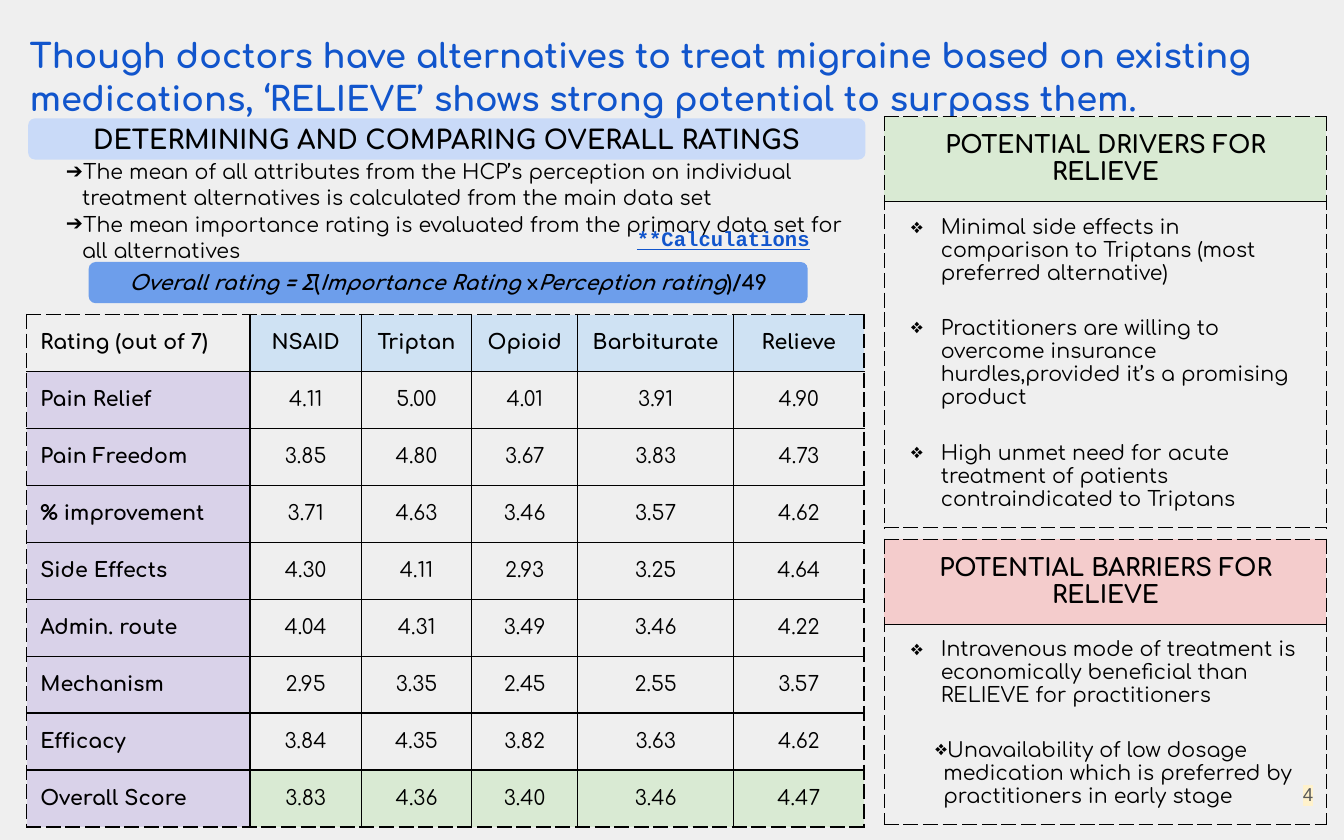
from lxml import etree
from pptx import Presentation
from pptx.dml.color import RGBColor
from pptx.enum.shapes import MSO_SHAPE
from pptx.enum.text import MSO_ANCHOR, MSO_AUTO_SIZE, PP_ALIGN
from pptx.oxml.ns import qn
from pptx.util import Inches, Pt

LEFT, CENTER, RIGHT = PP_ALIGN.LEFT, PP_ALIGN.CENTER, PP_ALIGN.RIGHT
TOP, MIDDLE, BOTTOM = MSO_ANCHOR.TOP, MSO_ANCHOR.MIDDLE, MSO_ANCHOR.BOTTOM
ROUNDED = MSO_SHAPE.ROUNDED_RECTANGLE

THEME = {
    "font": "Comfortaa", "number font": "Arial", "link font": "Courier New",
    "title size": 18, "banner size": 14, "heading size": 13, "text size": 11, "page size": 10,
    "background": "EFEFEF", "text": "000000", "accent": "1155CC", "page": "595959",
    "highlight": "FFF2CC", "banner": "C9DAF8", "formula": "6D9EEB", "column header": "CFE2F3",
    "row header": "D9D2E9", "positive": "D9EAD3", "negative": "F4CCCC",
}

presentation = Presentation()
presentation.slide_width, presentation.slide_height = Inches(10), Inches(6.25)
COLUMN = presentation.slide_width / 100
ROW = presentation.slide_height / 100

AREAS = {
    "title": (1.2, 2.24, 94.5, 13),
    "method": (3, 17.1, 61.3, 15),
    "banner": (2.1, 14.1, 62.3, 4.9),
    "formula": (6.6, 31.2, 53.5, 4.9),
    "link": (46.4, 25.1, 17.3, 6.2),
    "ratings": (2, 37.44, 62.3, 61),
    "drivers": (65.8, 13.9, 32.9, 48.9),
    "barriers": (65.8, 64.2, 32.9, 34),
    "page": (92.7, 90.7, 6, 7.7),
}
AREAS = {name: (round(left * COLUMN), round(top * ROW), round(width * COLUMN), round(height * ROW))
         for name, (left, top, width, height) in AREAS.items()}


def format_text(frame, size, bold=False, color="text", font="font", alignment=LEFT,
                anchor=MIDDLE, inset=0.1, bullet=None, margin=0.0, indent=0.0, spacing=1.0):
    frame.word_wrap = True
    frame.vertical_anchor = anchor
    frame.margin_left = Inches(inset)
    frame.margin_top = frame.margin_right = frame.margin_bottom = Inches(0.1)
    for paragraph in frame.paragraphs:
        paragraph.alignment = alignment
        paragraph.line_spacing = spacing
        paragraph.space_before = Pt(0)
        if bullet:
            properties = paragraph._p.get_or_add_pPr()
            properties.set("marL", str(Inches(margin)))
            properties.set("indent", str(Inches(indent)))
            bullet_color = etree.SubElement(properties, qn("a:buClr"))
            etree.SubElement(bullet_color, qn("a:srgbClr"), val=THEME["text"])
            etree.SubElement(properties, qn("a:buChar"), char=bullet)
        paragraph.font.name = THEME[font]
        paragraph.font.size = Pt(THEME[size])
        paragraph.font.bold = bold
        paragraph.font.color.rgb = RGBColor.from_string(THEME[color])


def style_cell(cell, borders, fill=None):
    properties = cell._tc.get_or_add_tcPr()
    for side, dash in zip("LRTB", borders):
        line = etree.SubElement(properties, qn(f"a:ln{side}"), w=str(Pt(0.75)))
        if dash:
            solid = etree.SubElement(line, qn("a:solidFill"))
            etree.SubElement(solid, qn("a:srgbClr"), val=THEME["text"])
            etree.SubElement(line, qn("a:prstDash"), val=dash)
        else:
            etree.SubElement(line, qn("a:noFill"))
    if fill:
        cell.fill.solid()
        cell.fill.fore_color.rgb = RGBColor.from_string(THEME[fill])
    else:
        cell.fill.background()


slide = presentation.slides.add_slide(presentation.slide_layouts[1])
slide.background.fill.solid()
slide.background.fill.fore_color.rgb = RGBColor.from_string(THEME["background"])

title, method = slide.shapes.title, slide.placeholders[1]
for shape, name in ((title, "title"), (method, "method")):
    shape.left, shape.top, shape.width, shape.height = AREAS[name]
    shape.text_frame.auto_size = MSO_AUTO_SIZE.NONE

title.text_frame.text = ("Though doctors have alternatives to treat migraine based on existing "
                         "medications, ‘RELIEVE’ shows strong potential to surpass them.")
format_text(title.text_frame, "title size", True, "accent", anchor=TOP, spacing=1.07)

banner, formula = [slide.shapes.add_shape(ROUNDED, *AREAS[name]) for name in ("banner", "formula")]
for shape, name in ((banner, "banner"), (formula, "formula")):
    shape.shadow.inherit = False
    shape.fill.solid()
    shape.fill.fore_color.rgb = RGBColor.from_string(THEME[name])
    shape.line.fill.background()
banner.text_frame.text = "DETERMINING AND COMPARING OVERALL RATINGS"
format_text(banner.text_frame, "banner size", True, alignment=CENTER)

method.text_frame.text = (
    "The mean of all attributes from the HCP’s perception on individual treatment alternatives "
    "is calculated from the main data set\n"
    "The mean importance rating is evaluated from the primary data set for all alternatives")
format_text(method.text_frame, "text size", anchor=TOP, inset=0.19, bullet="➔",
            margin=0.12, indent=-0.2, spacing=1.07)

for text, italic in (("Overall rating = Σ", True), ("(", False), ("Importance Rating ", True),
                     ("x", False), ("Perception rating", True), (")/49", False)):
    run = formula.text_frame.paragraphs[0].add_run()
    run.text = text
    run.font.italic = italic
format_text(formula.text_frame, "text size", True, alignment=CENTER)

link = slide.shapes.add_textbox(*AREAS["link"])
link.text_frame.text = "**Calculations"
format_text(link.text_frame, "text size", True, "accent", "link font", anchor=BOTTOM)
link.text_frame.paragraphs[0].font.underline = True

RATINGS = (
    ("Rating (out of 7)", "NSAID", "Triptan", "Opioid", "Barbiturate", "Relieve"),
    ("Pain Relief", "4.11", "5.00", "4.01", "3.91", "4.90"),
    ("Pain Freedom", "3.85", "4.80", "3.67", "3.83", "4.73"),
    ("% improvement", "3.71", "4.63", "3.46", "3.57", "4.62"),
    ("Side Effects", "4.30", "4.11", "2.93", "3.25", "4.64"),
    ("Admin. route", "4.04", "4.31", "3.49", "3.46", "4.22"),
    ("Mechanism", "2.95", "3.35", "2.45", "2.55", "3.57"),
    ("Efficacy", "3.84", "4.35", "3.82", "3.63", "4.62"),
    ("Overall Score", "3.83", "4.36", "3.40", "3.46", "4.47"),
)
last_row, last_column = len(RATINGS) - 1, len(RATINGS[0]) - 1
ratings = slide.shapes.add_table(len(RATINGS), len(RATINGS[0]), *AREAS["ratings"]).table
for column, share in zip(ratings.columns, (16.6, 8.3, 8.2, 7.9, 11.6, 9.7)):
    column.width = round(share * COLUMN)
for row_index, values in enumerate(RATINGS):
    ratings.rows[row_index].height = round(6.78 * ROW)
    for column_index, value in enumerate(values):
        cell = ratings.cell(row_index, column_index)
        edges = (column_index == 0, column_index == last_column, row_index == 0, row_index == last_row)
        if column_index == 0:
            fill = "row header" if row_index else None
        else:
            fill = {0: "column header", last_row: "positive"}.get(row_index)
        style_cell(cell, ["dash" if edge else "solid" for edge in edges], fill)
        cell.text_frame.text = value
        format_text(cell.text_frame, "text size", row_index == 0 or column_index == 0,
                    alignment=CENTER if column_index else LEFT)
        cell.vertical_anchor = MIDDLE

REGULAR = {"inset": 0.1, "margin": 0.32, "indent": -0.22}
SHIFTED = {"inset": 0.38, "margin": 0.06, "indent": -0.19}
PANELS = (
    ("drivers", "positive", "POTENTIAL DRIVERS FOR RELIEVE", (
        ("Minimal side effects in comparison to Triptans (most preferred alternative)", 11.8, REGULAR),
        ("Practitioners are willing to overcome insurance hurdles,provided it’s a promising product",
         14.9, REGULAR),
        ("High unmet need for acute treatment of patients contraindicated to Triptans", 12.1, REGULAR))),
    ("barriers", "negative", "POTENTIAL BARRIERS FOR RELIEVE", (
        ("Intravenous mode of treatment is economically beneficial than RELIEVE for practitioners",
         11.7, REGULAR),
        ("Unavailability of low dosage medication which is preferred by practitioners in early stage",
         12.2, SHIFTED))),
)
for name, fill, heading, points in PANELS:
    panel = slide.shapes.add_table(len(points) + 1, 1, *AREAS[name]).table
    panel.rows[0].height = round(10.1 * ROW)
    cell = panel.cell(0, 0)
    style_cell(cell, ("dash", "dash", "dash", "solid"), fill)
    cell.text_frame.text = heading
    format_text(cell.text_frame, "heading size", True, alignment=CENTER)
    cell.vertical_anchor = MIDDLE
    for index, (text, height, layout) in enumerate(points, 1):
        panel.rows[index].height = round(height * ROW)
        cell = panel.cell(index, 0)
        style_cell(cell, ("dash", "dash", "solid" if index == 1 else None,
                          "dash" if index == len(points) else None))
        cell.text_frame.text = text
        format_text(cell.text_frame, "text size", bullet="❖", **layout)
        cell.margin_left = Inches(layout["inset"])
        cell.vertical_anchor = MIDDLE

page = slide.shapes.add_textbox(*AREAS["page"])
page.text_frame.text = "4"
format_text(page.text_frame, "page size", color="page", font="number font", alignment=RIGHT)
run_properties = page.text_frame.paragraphs[0].runs[0]._r.get_or_add_rPr()
highlight = etree.SubElement(run_properties, qn("a:highlight"))
etree.SubElement(highlight, qn("a:srgbClr"), val=THEME["highlight"])

presentation.save("out.pptx")
